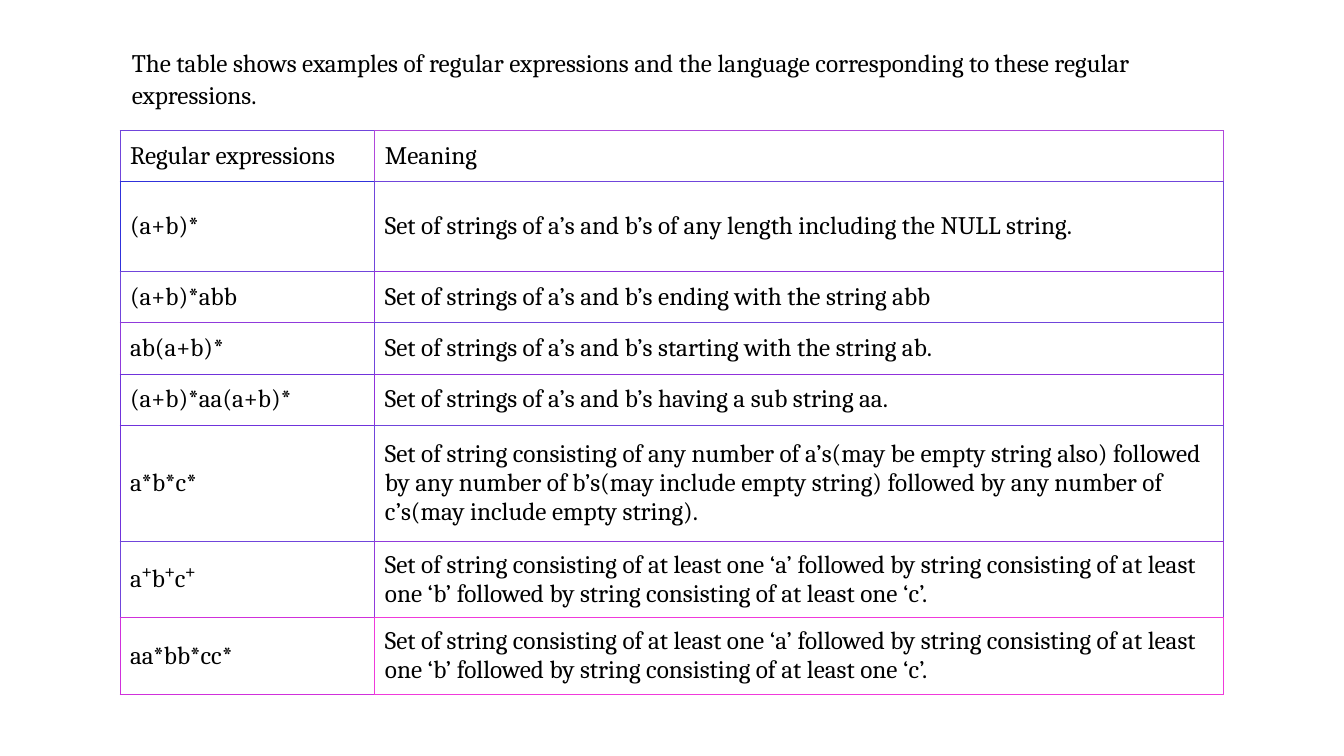
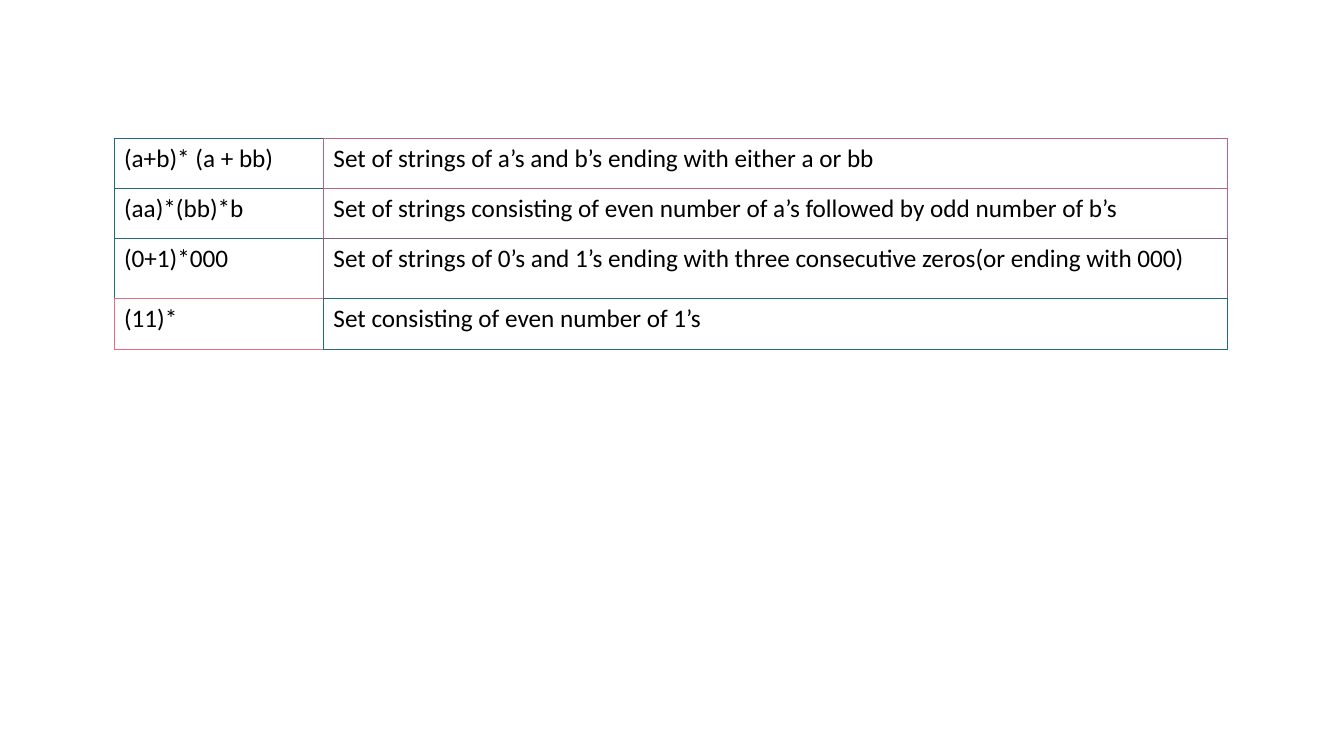
"""Build two slides with tables of regular expressions and their meanings."""
import pptx
import pptx.dml.color
import pptx.enum.text
import pptx.oxml
import pptx.oxml.ns
import pptx.util

Pt = pptx.util.Pt
RGB = pptx.dml.color.RGBColor
ANCHOR = pptx.enum.text.MSO_ANCHOR

BLACK = RGB(0x00, 0x00, 0x00)
INDIGO = RGB(0x70, 0x45, 0xDB)
BLUE = RGB(0x30, 0x31, 0xDB)
ORCHID = RGB(0xB0, 0x47, 0xDB)
VIOLET = RGB(0x90, 0x34, 0xDB)
PURPLE = RGB(0x90, 0x3A, 0xDB)
GRAPE = RGB(0x90, 0x31, 0xDB)
IRIS = RGB(0x70, 0x33, 0xDB)
MAGENTA = RGB(0xD0, 0x30, 0xDB)
FUCHSIA = RGB(0xF0, 0x3A, 0xDB)
TEAL = RGB(0x20, 0x67, 0x80)
SEA = RGB(0x20, 0x6D, 0x80)
ROSE = RGB(0xC0, 0x63, 0x80)
MAUVE = RGB(0x80, 0x5E, 0x80)
PINK = RGB(0xE0, 0x70, 0x80)

AT_LEAST_ONE = ("Set of string consisting of at least one ‘a’ followed by string consisting "
                "of at least one ‘b’ followed by string consisting of at least one ‘c’.")

TABLES = [
    {
        "font": "Cambria", "anchor": ANCHOR.MIDDLE,
        "left": 85.7, "top": 93.3, "cols": [182.1, 606.2],
        "rows": [
            (36.6, "Regular expressions", "Meaning", INDIGO, ORCHID),
            (64.2, "(a+b)*", "Set of strings of a’s and b’s of any length including the NULL string.",
             BLUE, INDIGO),
            (36.6, "(a+b)*abb", "Set of strings of a’s and b’s ending with the string abb", INDIGO, VIOLET),
            (36.6, "ab(a+b)*", "Set of strings of a’s and b’s starting with the string ab.", PURPLE, INDIGO),
            (36.6, "(a+b)*aa(a+b)*", "Set of strings of a’s and b’s having a sub string aa.", IRIS, GRAPE),
            (82.8, "a*b*c*", "Set of string consisting of any number of a’s(may be empty string also) "
             "followed by any number of b’s(may include empty string) followed by any number of "
             "c’s(may include empty string).", IRIS, INDIGO),
            (54.7, "a⁺b⁺c⁺", AT_LEAST_ONE, INDIGO, PURPLE),
            (54.7, "aa*bb*cc*", AT_LEAST_ONE, MAGENTA, FUCHSIA),
        ],
    },
    {
        "font": "Calibri", "anchor": ANCHOR.TOP,
        "left": 81.4, "top": 98.6, "cols": [149.6, 645.8],
        "rows": [
            (36, "(a+b)* (a + bb)", "Set of strings of a’s and b’s ending with either a or bb", TEAL, ROSE),
            (36, "(aa)*(bb)*b",
             "Set of strings consisting of even number of a’s followed by odd number of b’s", TEAL, ROSE),
            (42.8, "(0+1)*000",
             "Set of strings of 0’s and 1’s ending with three consecutive zeros(or ending with 000)",
             SEA, MAUVE),
            (36, "(11)*", "Set consisting of even number of 1’s", PINK, SEA),
        ],
    },
]


def write(tf, text, font):
    p = tf.paragraphs[0]
    r = p.add_run()
    r.text = text
    for name, value in {"name": font, "size": Pt(18), "bold": False}.items():
        setattr(r.font, name, value)
    r.font.color.rgb = BLACK
    return p


def set_borders(cell, colors):
    tc_pr = cell._tc.get_or_add_tcPr()
    for i, (side, color) in enumerate(colors.items()):
        tc_pr.insert(i, pptx.oxml.parse_xml(
            f'<a:ln{side} {pptx.oxml.ns.nsdecls("a")} w="{Pt(0.75)}">'
            f'<a:solidFill><a:srgbClr val="{color}"/></a:solidFill></a:ln{side}>'))


prs = pptx.Presentation()
prs.slide_width, prs.slide_height = Pt(960), Pt(540)

for table in TABLES:
    s = prs.slides.add_slide(prs.slide_layouts[6])
    rows, cols = table["rows"], table["cols"]
    colors = [row[3:] for row in rows]
    heights = [row[0] for row in rows]
    tbl = s.shapes.add_table(len(rows), len(cols), Pt(table["left"]), Pt(table["top"]),
                             Pt(sum(cols)), Pt(sum(heights))).table
    for name, value in {"first_row": False, "horz_banding": False}.items():
        setattr(tbl, name, value)
    for column, width in zip(tbl.columns, cols):
        column.width = Pt(width)
    for i, row in enumerate(rows):
        tbl.rows[i].height = Pt(heights[i])
        for j, text in enumerate(row[1:3]):
            cell = tbl.cell(i, j)
            cell.fill.background()
            cell.vertical_anchor = table["anchor"]
            write(cell.text_frame, text, table["font"])
            own = colors[i][j]
            right = colors[i][min(j + 1, len(cols) - 1)]
            below = colors[min(i + 1, len(rows) - 1)][j]
            set_borders(cell, {"L": own, "R": right, "T": own, "B": below})

s = prs.slides[0]
sp = s.shapes.add_textbox(Pt(65.5), Pt(28.8), Pt(808.6), Pt(51.1))
tf = sp.text_frame
for name, value in {"word_wrap": True, "auto_size": pptx.enum.text.MSO_AUTO_SIZE.SHAPE_TO_FIT_TEXT}.items():
    setattr(tf, name, value)
p = write(tf, "The table shows examples of regular expressions and the language corresponding "
              "to these regular expressions.", "Cambria")
p.line_spacing = 1.07
p._p.get_or_add_pPr().set("marL", str(Pt(21.6)))

prs.save("out.pptx")
